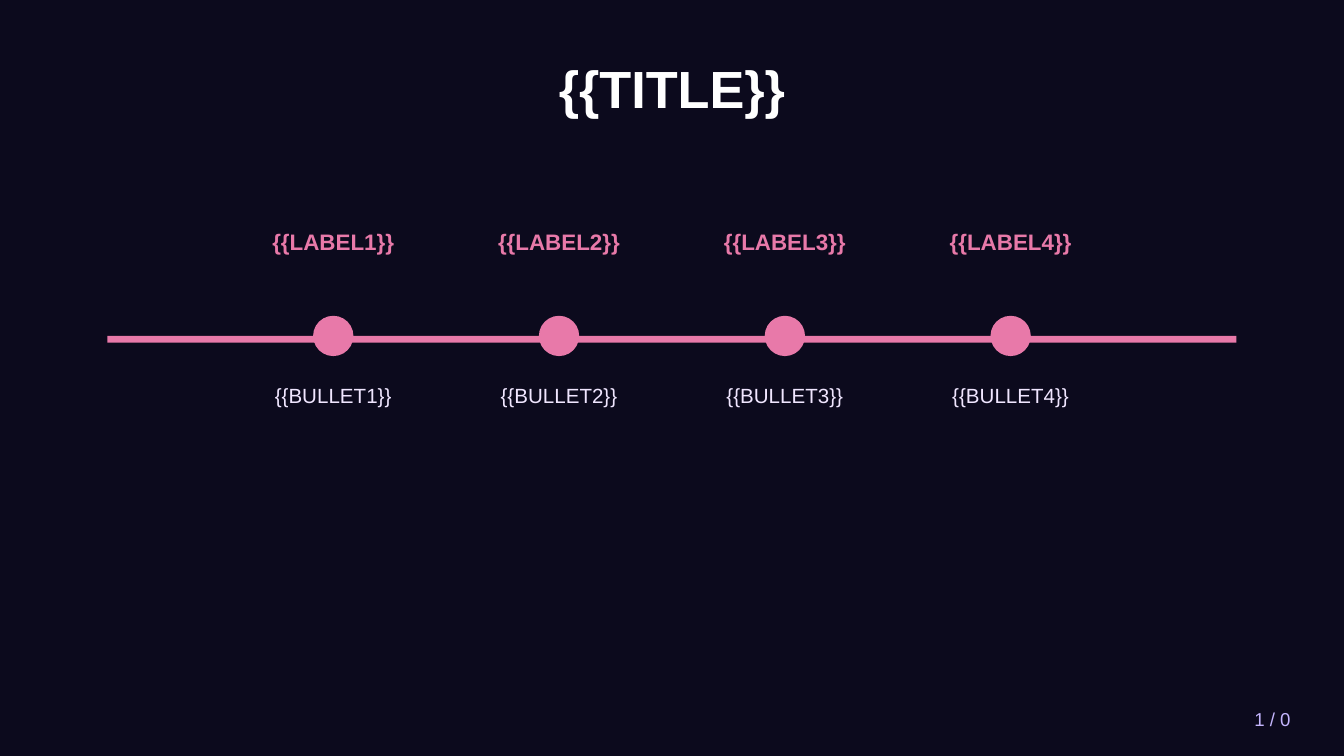
import pptx
import pptx.dml.color
import pptx.enum.shapes
import pptx.enum.text
import pptx.util

Inches = pptx.util.Inches
ALIGN = pptx.enum.text.PP_ALIGN
ANCHOR = pptx.enum.text.MSO_ANCHOR
SHAPE = pptx.enum.shapes.MSO_SHAPE

BACKGROUND = "0C0A1D"
ACCENT = "E879A9"
TITLE_COLOR = "FFFFFF"
BODY_COLOR = "F0E6FF"
PAGE_COLOR = "C4B5FD"


def color(hex_string):
    return pptx.dml.color.RGBColor.from_string(hex_string)


def add_text(slide, box, text, size, hex_string, bold=False,
             align=ALIGN.CENTER, anchor=ANCHOR.MIDDLE):
    text_box = slide.shapes.add_textbox(*map(Inches, box))
    frame = text_box.text_frame
    frame.word_wrap = True
    frame.vertical_anchor = anchor
    paragraph = frame.paragraphs[0]
    paragraph.alignment = align
    run = paragraph.add_run()
    run.text = text
    run.font.name = "Arial"
    run.font.size = pptx.util.Pt(size)
    run.font.bold = bold
    run.font.color.rgb = color(hex_string)


def add_filled_shape(slide, kind, box, hex_string):
    shape = slide.shapes.add_shape(kind, *map(Inches, box))
    shape.shadow.inherit = False
    shape.fill.solid()
    shape.fill.fore_color.rgb = color(hex_string)
    shape.line.fill.background()


def add_milestone(slide, box, label, bullet):
    left, top, width, height = box
    dot = 0.3
    dot_left = left + (width - dot) / 2
    add_filled_shape(slide, SHAPE.OVAL, (dot_left, top + 0.85, dot, dot), ACCENT)
    add_text(slide, (left, top, width, 0.6), label, 12, ACCENT, bold=True)
    add_text(slide, (left, top + 1.3, width, height - 1.3), bullet, 11,
             BODY_COLOR, anchor=ANCHOR.TOP)


def add_timeline(slide, box, milestones):
    left, top, width, height = box
    # Horizontal bar
    add_filled_shape(slide, SHAPE.RECTANGLE, (left, top + 1, width, 0.05), ACCENT)
    # Milestones at equal steps, with one step free at each end
    step = width / (len(milestones) + 1)
    column_width = 2
    for number, (label, bullet) in enumerate(milestones, start=1):
        column_left = left + number * step - column_width / 2
        add_milestone(slide, (column_left, top, column_width, height),
                      label, bullet)


def main():
    # Widescreen slide, 16:9
    presentation = pptx.Presentation()
    presentation.slide_width = Inches(10)
    presentation.slide_height = Inches(10 * 9 / 16)
    slide = presentation.slides.add_slide(presentation.slide_layouts[6])
    slide.background.fill.solid()
    slide.background.fill.fore_color.rgb = color(BACKGROUND)

    # Title
    add_text(slide, (0.5, 0.3, 9, 0.7), "{{TITLE}}", 28, TITLE_COLOR, bold=True)

    # Timeline
    milestones = [("{{LABEL%d}}" % number, "{{BULLET%d}}" % number)
                  for number in range(1, 5)]
    add_timeline(slide, (0.8, 1.5, 8.4, 2.8), milestones)

    # Page number
    add_text(slide, (8.5, 5.2, 1.2, 0.3), "1 / 0", 10, PAGE_COLOR,
             align=ALIGN.RIGHT)

    presentation.save("out.pptx")


if __name__ == "__main__":
    main()
